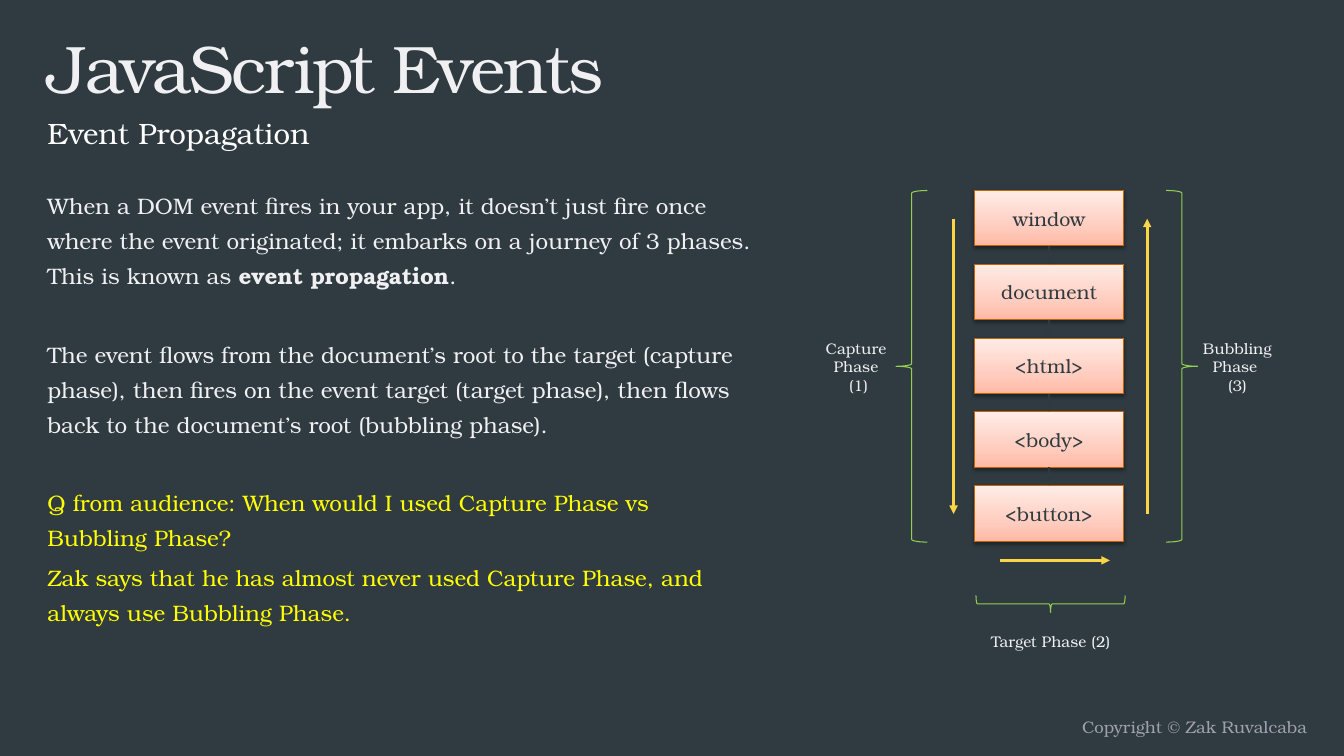
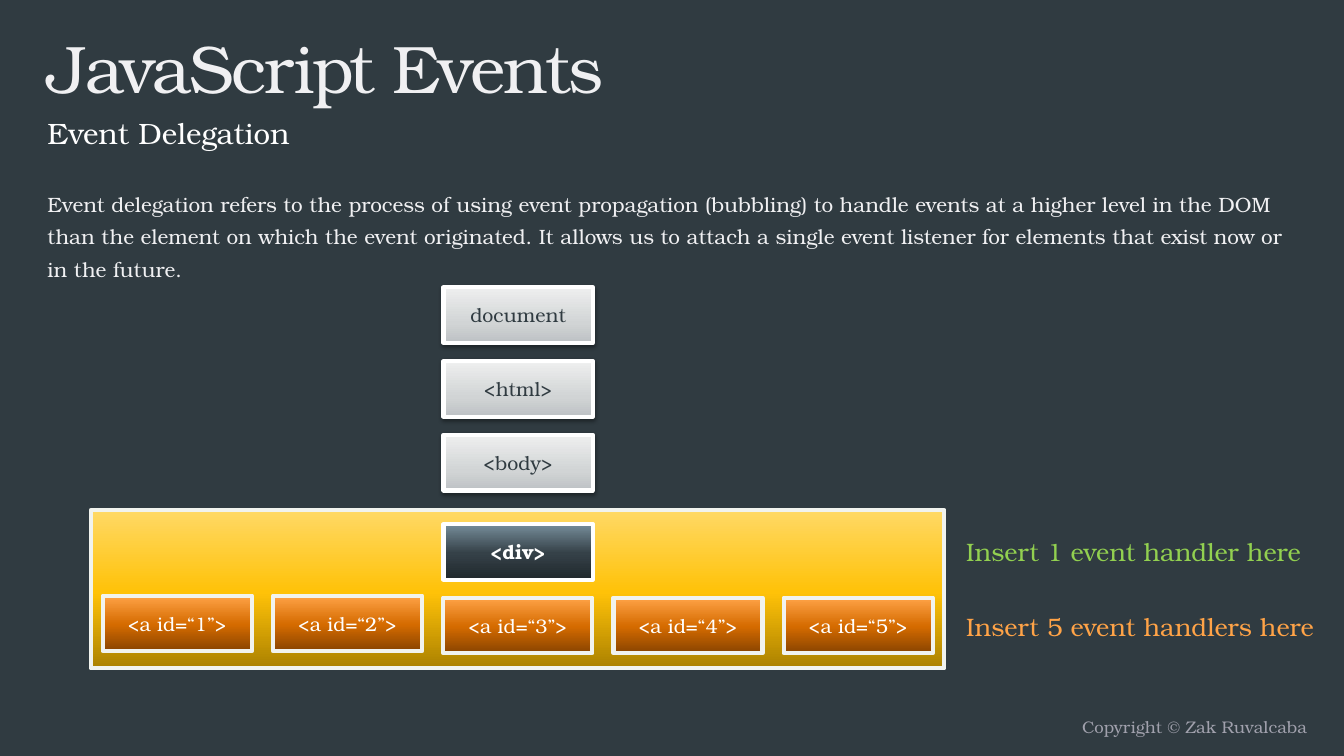
from lxml import etree
from pptx import Presentation
from pptx.dml.color import RGBColor
from pptx.enum.shapes import MSO_CONNECTOR, MSO_SHAPE
from pptx.enum.text import MSO_ANCHOR, MSO_AUTO_SIZE, PP_ALIGN
from pptx.oxml import parse_xml
from pptx.oxml.ns import nsdecls, qn
from pptx.util import Cm, Pt

LEFT, CENTER, RIGHT = PP_ALIGN.LEFT, PP_ALIGN.CENTER, PP_ALIGN.RIGHT
TOP, MIDDLE = MSO_ANCHOR.TOP, MSO_ANCHOR.MIDDLE
RECTANGLE, BRACE = MSO_SHAPE.RECTANGLE, MSO_SHAPE.RIGHT_BRACE
STRAIGHT = MSO_CONNECTOR.STRAIGHT

# Content: ** marks bold, a line feed breaks the line
TITLE = "JavaScript Events"
FOOTER = "Copyright © Zak Ruvalcaba"
PROPAGATION = "Event Propagation"
# (text, colour, points before the paragraph)
PROPAGATION_BODY = [
    ("When a DOM event fires in your app, it doesn’t just fire once where the event "
     "originated; it embarks on a journey of 3 phases. This is known as "
     "**event propagation**.", "light", 3.2),
    ("The event flows from the document’s root to the target (capture phase), then "
     "fires on the event target (target phase), then flows back to the document’s "
     "root (bubbling phase).", "light", 31.2),
    ("Q from audience: When would I used Capture Phase vs Bubbling Phase?",
     "yellow", 31.2),
    ("Zak says that he has almost never used Capture Phase, and always use "
     "Bubbling Phase.", "yellow", 3.2),
]
PROPAGATION_NODES = ["window", "document", "<html>", "<body>", "<button>"]
# (text, left, top, width, height)
PHASES = [
    ("Capture \nPhase \n(1)", 20.24, 8.41, 2.79, 1.68),
    ("Bubbling\nPhase \n(3)", 29.79, 8.41, 2.79, 1.68),
    ("Target Phase (2)", 24.03, 15.8, 4.9, 0.74),
]
# (left, top, width, height, rotation)
BRACES = [
    (29.39, 4.8, 0.79, 8.86, 0),
    (22.58, 4.8, 0.79, 8.86, 180),
    (26.26, 13.34, 0.43, 3.76, 90),
]
# (from x, from y, to x, to y)
PHASE_ARROWS = [
    (24.03, 5.51, 24.03, 12.95),
    (28.91, 12.95, 28.91, 5.51),
    (25.2, 14.12, 27.97, 14.12),
]
DELEGATION = "Event Delegation"
DELEGATION_BODY = [
    ("Event delegation refers to the process of using event propagation (bubbling) to "
     "handle events at a higher level in the DOM than the element on which the event "
     "originated. It allows us to attach a single event listener for elements that "
     "exist now or in the future.", "light", 2.96),
]
ANCESTORS = ["document", "<html>", "<body>"]
LINK_TOPS = [15.01, 15.01, 15.06, 15.06, 15.06]
# (text, top, colour)
HANDLERS = [
    ("Insert 1 event handler here", 13.39, "green"),
    ("Insert 5 event handlers here", 15.29, "orange"),
]

# Shared style
FONT = "TeX Gyre Bonum"
COLORS = {
    "background": "303B41", "light": "F0F0F2", "white": "FFFFFF", "footer": "A1A1AD",
    "yellow": "FFFF00", "green": "92D050", "orange": "FFA347", "rust": "C86400",
    "arrow": "FAD646", "link": "2F3A40", "frame": "F1F3EE",
}
# Gradient stops from bottom to top: (percent, colour)
GRADIENTS = {
    "peach": [(0, "FFB9A5"), (35, "FFCDBF"), (100, "FFECE7")],
    "grey": [(0, "BDC1C4"), (35, "D1D4D5"), (100, "EEEFEF")],
    "gold": [(0, "AB8100"), (48, "FFC208"), (100, "FFD966")],
    "amber": [(0, "894400"), (48, "D56B00"), (100, "FFA347")],
    "slate": [(0, "20282C"), (48, "354148"), (100, "768D9A")],
}
BOX_WIDTH, BOX_HEIGHT, BOX_STEP = 3.76, 1.4, 1.86
MARGIN, HEADING_WIDTH = 0.94, 29.87


def rgb(name):
    return RGBColor.from_string(COLORS[name])


def write(paragraph, text, size=14, color="light", align=LEFT, tracking=None):
    paragraph.alignment = align
    for line_index, line in enumerate(text.split("\n")):
        if line_index:
            paragraph.add_line_break()
        for piece_index, piece in enumerate(line.split("**")):
            if not piece:
                continue
            run = paragraph.add_run()
            run.text = piece
            run.font.name = FONT
            run.font.size = Pt(size)
            run.font.bold = piece_index % 2 == 1
            run.font.color.rgb = rgb(color)
            if tracking:
                run._r.get_or_add_rPr().set("spc", str(round(tracking * 100)))


def place(shape, left, top, width, height):
    shape.left, shape.top = Cm(left), Cm(top)
    shape.width, shape.height = Cm(width), Cm(height)
    frame = shape.text_frame
    frame.word_wrap = True
    frame.auto_size = MSO_AUTO_SIZE.NONE
    frame.vertical_anchor = TOP
    return frame


def fill_body(shape, box, paragraphs, size):
    frame = place(shape, *box)
    for index, (text, color, space) in enumerate(paragraphs):
        paragraph = frame.add_paragraph() if index else frame.paragraphs[0]
        write(paragraph, text, size=size, color=color)
        paragraph.line_spacing = 1.3
        paragraph.space_before = Pt(space)
        properties = paragraph._p.get_or_add_pPr()
        properties.set("marL", "0")
        properties.set("indent", "0")
        etree.SubElement(properties, qn("a:buNone"))


def add_label(slide, text, left, top, width, height, **style):
    shape = slide.shapes.add_textbox(0, 0, 0, 0)
    frame = place(shape, left, top, width, height)
    write(frame.paragraphs[0], text, **style)
    return shape


def add_panel(slide, left, top, width, height, gradient, line, weight):
    shape = slide.shapes.add_shape(RECTANGLE, Cm(left), Cm(top), Cm(width), Cm(height))
    shape.shadow.inherit = False
    shape.line.color.rgb = rgb(line)
    shape.line.width = Pt(weight)
    stops = "".join(
        f'<a:gs pos="{percent * 1000}"><a:srgbClr val="{color}"/></a:gs>'
        for percent, color in GRADIENTS[gradient])
    fill = parse_xml(
        f'<a:gradFill {nsdecls("a")} rotWithShape="1"><a:gsLst>{stops}</a:gsLst>'
        '<a:lin ang="16200000" scaled="0"/></a:gradFill>')
    shape.element.spPr.find(qn("a:prstGeom")).addnext(fill)
    return shape


def add_node(slide, text, left, top, gradient, line, weight=3, color="white", shadow=False):
    shape = add_panel(slide, left, top, BOX_WIDTH, BOX_HEIGHT, gradient, line, weight)
    shape.text_frame.vertical_anchor = MIDDLE
    write(shape.text_frame.paragraphs[0], text, color=color, align=CENTER)
    if shadow:
        effects = shape.element.spPr.find(qn("a:effectLst"))
        effects.append(parse_xml(
            f'<a:outerShdw {nsdecls("a")} blurRad="{Pt(3.1)}" dist="{Pt(1.6)}" '
            'dir="5400000" rotWithShape="0"><a:srgbClr val="000000">'
            '<a:alpha val="38000"/></a:srgbClr></a:outerShdw>'))


def add_arrow(slide, points, color, weight):
    arrow = slide.shapes.add_connector(STRAIGHT, *[Cm(value) for value in points])
    arrow.line.color.rgb = rgb(color)
    arrow.line.width = Pt(weight)
    etree.SubElement(arrow.line._get_or_add_ln(), qn("a:tailEnd"), type="triangle")
    etree.SubElement(arrow.element.spPr, qn("a:effectLst"))


def add_brace(slide, left, top, width, height, rotation):
    brace = slide.shapes.add_shape(BRACE, Cm(left), Cm(top), Cm(width), Cm(height))
    brace.rotation = rotation
    brace.shadow.inherit = False
    brace.fill.background()
    brace.line.color.rgb = rgb("green")
    brace.line.width = Pt(0.75)


def add_slide(subtitle, paragraphs, size, body_width, body_height):
    slide = presentation.slides.add_slide(presentation.slide_layouts[3])
    title, heading, body = slide.placeholders
    frame = place(title, MARGIN, 0.53, HEADING_WIDTH, 2.01)
    write(frame.paragraphs[0], TITLE, size=48, tracking=-1.5)
    fill_body(heading, (MARGIN, 2.51, HEADING_WIDTH, 0.99), [(subtitle, "white", 4.2)], 21)
    fill_body(body, (MARGIN, 4.52, body_width, body_height), paragraphs, size)
    return slide


presentation = Presentation()
presentation.slide_width, presentation.slide_height = Cm(33.87), Cm(19.05)
master = presentation.slide_master
master.background.fill.solid()
master.background.fill.fore_color.rgb = rgb("background")

# Event propagation: a column of nodes with phases around it
slide = add_slide(PROPAGATION, PROPAGATION_BODY, 16, 18.34, 13)
column_left, column_top = 24.56, 4.8
for index, node in enumerate(PROPAGATION_NODES):
    add_node(slide, node, column_left, column_top + index * BOX_STEP, "peach", "rust",
             weight=0.75, color="background", shadow=True)
for brace in BRACES:
    add_brace(slide, *brace)
for phase in PHASES:
    add_label(slide, *phase, size=11, align=CENTER)
column_center = column_left + BOX_WIDTH / 2
for index in range(1, len(PROPAGATION_NODES)):
    node_top = column_top + index * BOX_STEP
    gap_top = node_top - BOX_STEP + BOX_HEIGHT
    add_arrow(slide, (column_center, gap_top, column_center, node_top), "link", 1.5)
for points in PHASE_ARROWS:
    add_arrow(slide, points, "arrow", 2)

# The footer moves to the master, so every slide shows it
footer = add_label(slide, FOOTER, 16.94, 17.93, 16.26, 0.79,
                   size=12, color="footer", align=RIGHT)
master.shapes.element.append(footer.element)

# Event delegation: ancestors above a panel that holds the div and its links
slide = add_slide(DELEGATION, DELEGATION_BODY, 14.8, 32.03, 2.11)
add_panel(slide, 2.29, 12.85, 21.51, 3.99, "gold", "frame", 3)
ancestor_left, link_left, link_step = 11.18, 2.59, 4.29
for index, node in enumerate(ANCESTORS):
    add_node(slide, node, ancestor_left, 7.24 + index * BOX_STEP, "grey", "white",
             color="background", shadow=True)
add_node(slide, "**<div>**", ancestor_left, 13.21, "slate", "white")
for index, top in enumerate(LINK_TOPS):
    add_node(slide, f"<a id=“{index + 1}”>", link_left + index * link_step, top,
             "amber", "frame")
for text, top, color in HANDLERS:
    add_label(slide, text, 24.1, top, 9.4, 1.02, size=18, color=color)

presentation.save("out.pptx")
